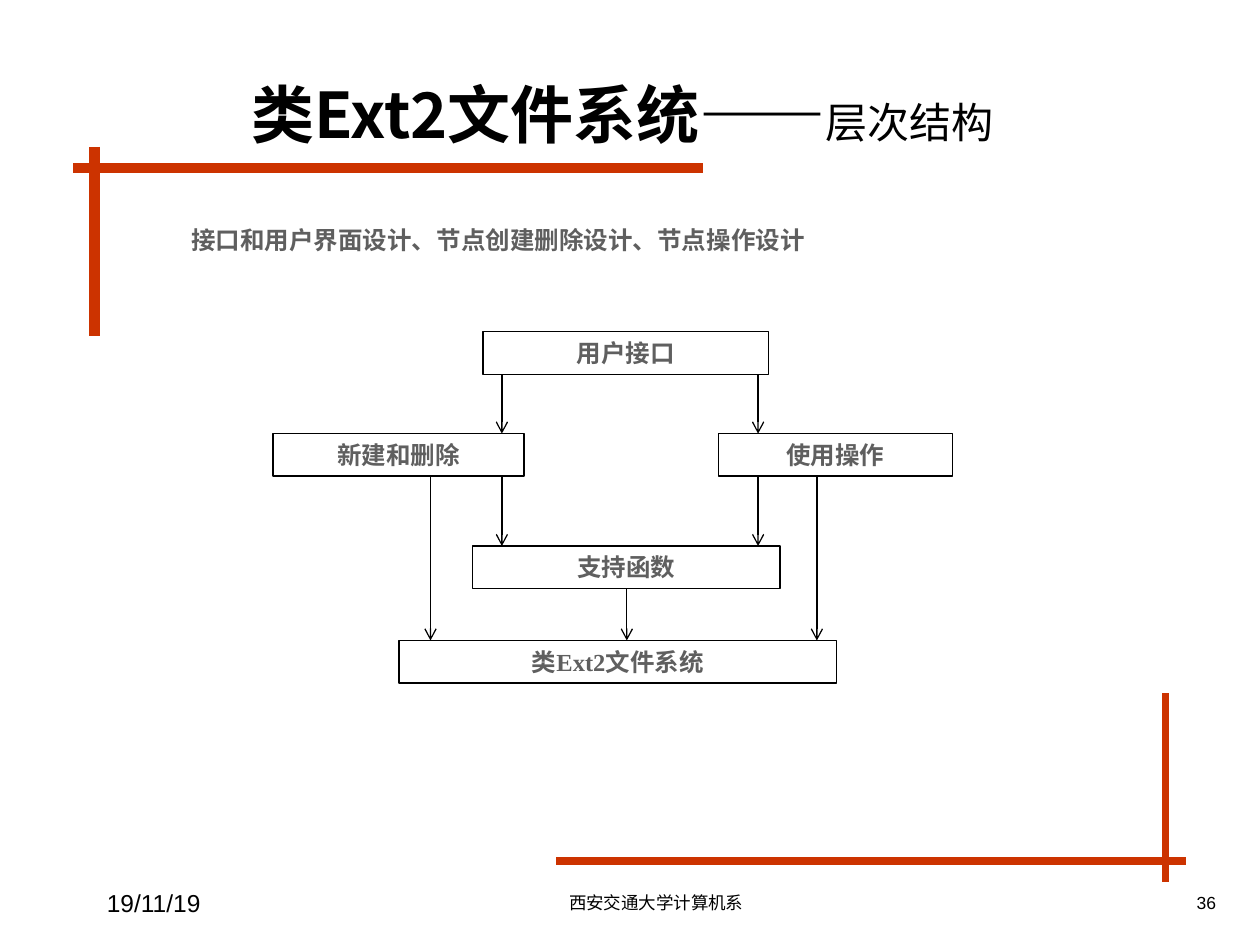
from lxml import etree
from pptx import Presentation
from pptx import util as u
from pptx.dml.color import RGBColor
from pptx.enum import shapes, text
from pptx.oxml import ns

COLORS = {"ink": "000000", "muted": "5F5F5F", "accent": "CC3300"}
SANS, SERIF, CJK = "Arial", "Times New Roman", "Noto Sans CJK SC"
COLUMNS, ROWS = 120, 90
ALIGN, ANCHOR = text.PP_ALIGN, text.MSO_ANCHOR


class SlideBuilder:
    """Draws on one slide; lengths are columns and rows of the grid."""

    def __init__(self):
        self.deck = Presentation()
        self.deck.slide_width, self.deck.slide_height = u.Inches(10), u.Inches(7.5)
        self.page = self.deck.slides.add_slide(self.deck.slide_layouts[1])

    def x(self, columns):
        return round(self.deck.slide_width * columns / COLUMNS)

    def y(self, rows):
        return round(self.deck.slide_height * rows / ROWS)

    def area(self, left, top, width, height):
        return self.x(left), self.y(top), self.x(width), self.y(height)

    def style(self, span, size, font=SERIF, color="ink", bold=False):
        span.font.size, span.font.name, span.font.bold = u.Pt(size), font, bold
        span.font.color.rgb = RGBColor.from_string(COLORS[color])
        east = etree.SubElement(span.font._element, ns.qn("a:ea"))
        east.set("typeface", CJK)

    def frame(self, box, anchor):
        frame = box.text_frame
        frame.word_wrap = True
        frame.auto_size = text.MSO_AUTO_SIZE.NONE
        frame.vertical_anchor = anchor
        return frame

    def placeholder(self, index, area, anchor):
        box = self.page.placeholders[index]
        box.left, box.top, box.width, box.height = self.area(*area)
        return self.frame(box, anchor)

    def title(self, area, parts):
        para = self.placeholder(0, area, ANCHOR.BOTTOM).paragraphs[0]
        para.alignment = ALIGN.CENTER
        for words, size, font, bold in parts:
            span = para.add_run()
            span.text = words
            self.style(span, size, font, bold=bold)

    def body(self, area, words):
        para = self.placeholder(1, area, ANCHOR.TOP).paragraphs[0]
        para.text = words
        para.level = 1
        para.line_spacing, para.space_before = 2.0, u.Pt(0)
        layout = para._p.get_or_add_pPr()
        layout.set("marL", str(u.Inches(0.81)))
        layout.set("indent", str(u.Inches(-0.31)))
        etree.SubElement(layout, ns.qn("a:buNone"))
        self.style(para.runs[0], 14, color="muted", bold=True)

    def label(self, area, words, size, align):
        box = self.page.shapes.add_textbox(*self.area(*area))
        para = self.frame(box, ANCHOR.MIDDLE).paragraphs[0]
        para.text, para.alignment = words, align
        self.style(para.runs[0], size, SANS)

    def module(self, area, words):
        box = self.page.shapes.add_shape(shapes.MSO_SHAPE.RECTANGLE, *self.area(*area))
        box.shadow.inherit = False
        box.fill.background()
        box.line.color.rgb = RGBColor.from_string(COLORS["ink"])
        box.line.width = u.Pt(0.75)
        para = self.frame(box, ANCHOR.TOP).paragraphs[0]
        para.text, para.alignment = words, ALIGN.CENTER
        self.style(para.runs[0], 14, color="muted", bold=True)

    def line(self, start, end, color="ink", width=0.75, arrow=False):
        link = self.page.shapes.add_connector(
            shapes.MSO_CONNECTOR.STRAIGHT,
            self.x(start[0]), self.y(start[1]), self.x(end[0]), self.y(end[1]))
        link.line.color.rgb = RGBColor.from_string(COLORS[color])
        link.line.width = u.Pt(width)
        if arrow:
            head = etree.SubElement(link.line._get_or_add_ln(), ns.qn("a:tailEnd"))
            head.set("type", "arrow")
        etree.SubElement(link._element.spPr, ns.qn("a:effectLst"))


def main():
    slide = SlideBuilder()

    # Corner rules
    for start, end, width in [((7, 16), (67, 16), 6), ((53, 82), (113, 82), 4.5),
                              ((9, 14), (9, 32), 6), ((111, 66), (111, 84), 4.5)]:
        slide.line(start, end, "accent", width)

    # Footer
    slide.label((9, 83, 29, 6), "19/11/19", 14, ALIGN.LEFT)
    slide.label((41, 83, 43, 6), "西安交通大学计算机系", 10, ALIGN.CENTER)
    slide.label((86, 83, 31, 6), "36", 10, ALIGN.RIGHT)

    # Title and summary
    slide.title((9, 4, 102, 11), [
        ("类Ext2文件系统", 36, CJK, True),
        ("——", 36, SERIF, True),
        ("层次结构", 24, CJK, False),
        (" ", 36, SERIF, True),
    ])
    slide.body((11, 18, 100, 63), "接口和用户界面设计、节点创建删除设计、节点操作设计")

    # Layers: top row of each level, then its modules
    height = 4.05
    interface, operations, support, system = levels = 31.6, 41.3, 52, 61
    modules = [
        (interface, 46, 27.2, "用户接口"),
        (operations, 26, 23.9, "新建和删除"),
        (operations, 68.4, 22.3, "使用操作"),
        (support, 45, 29.3, "支持函数"),
        (system, 38, 41.7, "类Ext2文件系统"),
    ]
    for top, left, width, words in modules:
        slide.module((left, top, width, height), words)

    # Calls between layers
    calls = [
        (47.8, interface, operations), (72.2, interface, operations),
        (47.8, operations, support), (72.2, operations, support),
        (41, operations, system), (77.8, operations, system),
        (59.7, support, system),
    ]
    for column, upper, lower in calls:
        slide.line((column, upper + height), (column, lower), arrow=True)

    slide.deck.save("out.pptx")


if __name__ == "__main__":
    main()
